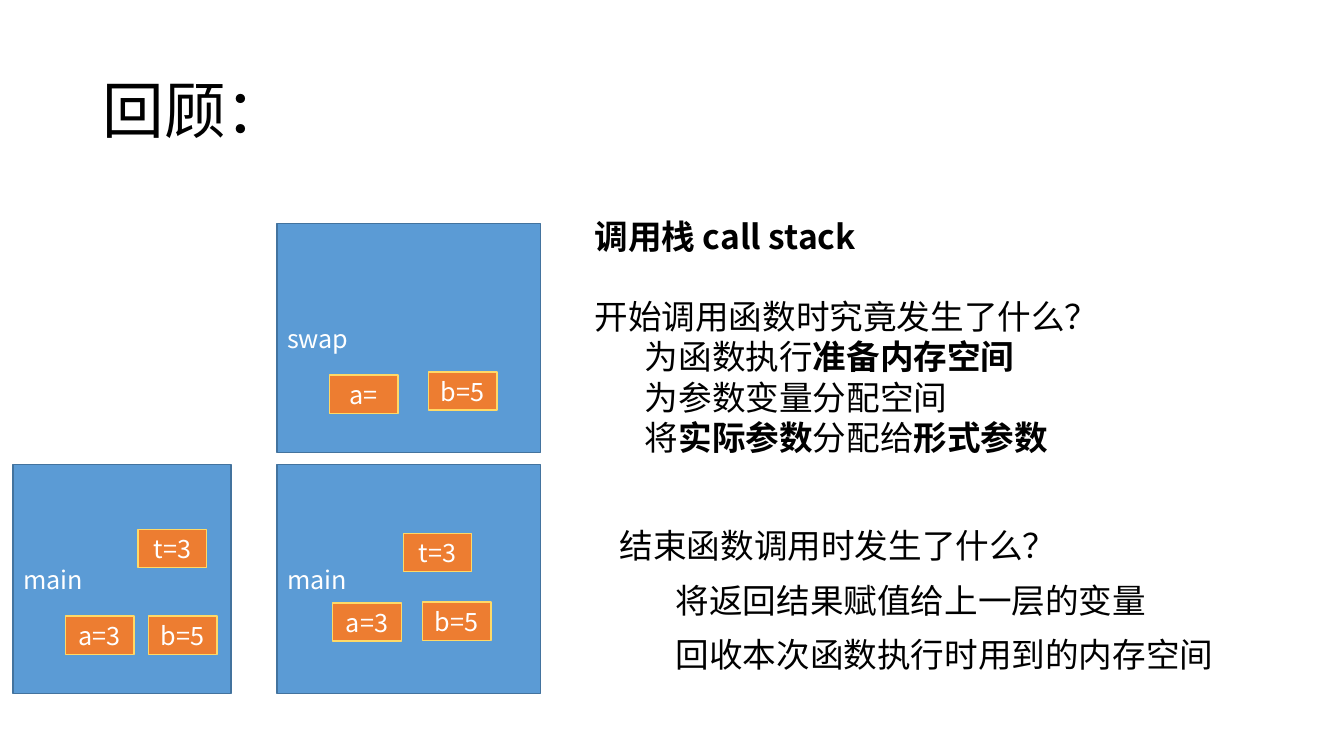
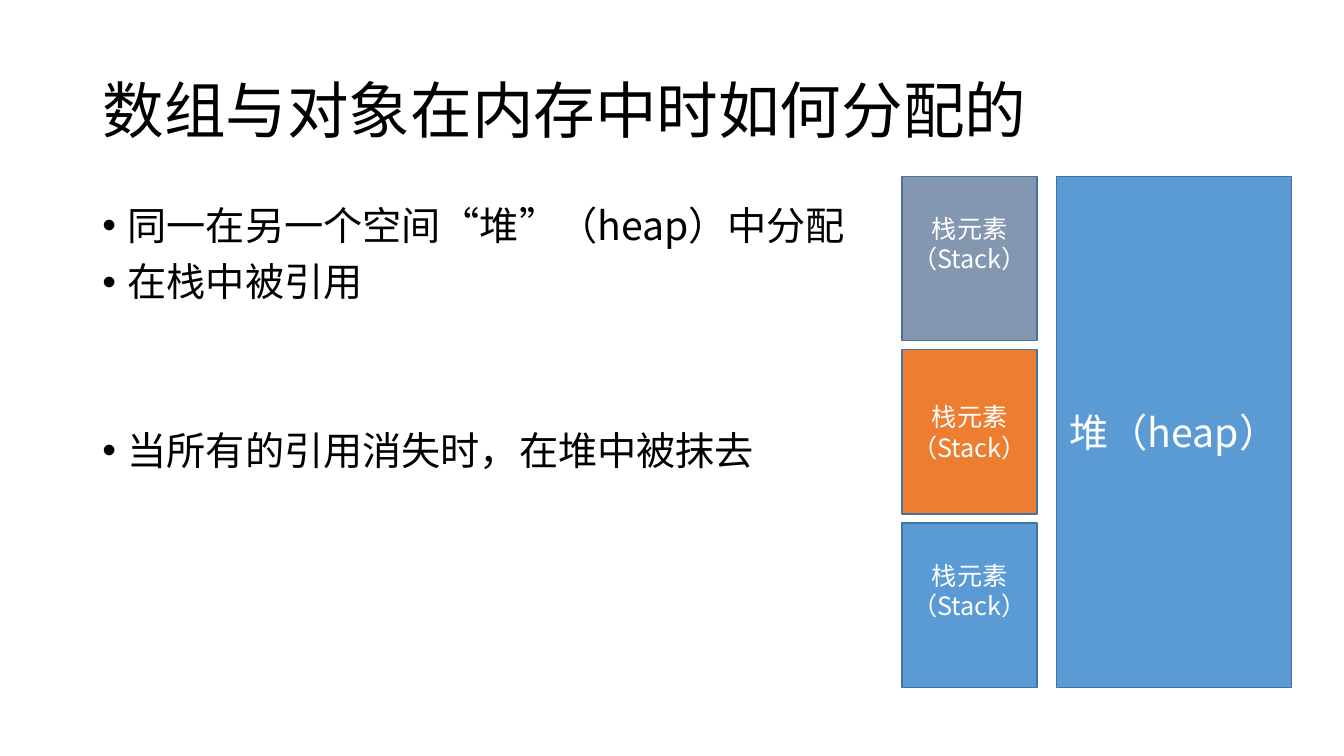
from lxml.etree import SubElement
from pptx import Presentation
from pptx.dml.color import RGBColor
from pptx.enum.shapes import MSO_SHAPE
from pptx.enum.text import MSO_ANCHOR, MSO_AUTO_SIZE, PP_ALIGN
from pptx.oxml.ns import qn
from pptx.util import Pt

FONT = "Noto Sans CJK SC"
BLACK, WHITE = "000000", "FFFFFF"
BLUE, ORANGE, SLATE = "5B9BD5", "ED7D31", "8497B0"
EDGE, GOLD = "43739E", "FFD966"
TITLE_BOX = (66, 28.8, 828, 104.4)
CELL_SIZE = (49, 27.4)


def colour(value):
    return RGBColor.from_string(value)


def place(shape, left, top, width, height):
    shape.left, shape.top = Pt(left), Pt(top)
    shape.width, shape.height = Pt(width), Pt(height)


def style_runs(para, size, value):
    for span in para.runs:
        span.font.size = Pt(size)
        span.font.name = FONT
        span.font.color.rgb = colour(value)
        east_asian = SubElement(span.font._element, qn("a:ea"))
        east_asian.set("typeface", FONT)


def indent(para, margin, first=0):
    properties = para._p.get_or_add_pPr()
    properties.set("marL", str(Pt(margin)))
    properties.set("indent", str(Pt(first)))


def add_titled_page(deck, layout, title):
    page = deck.slides.add_slide(deck.slide_layouts.get_by_name(layout))
    heading = page.shapes.title
    place(heading, *TITLE_BOX)
    frame = heading.text_frame
    frame.text = title
    frame.auto_size = MSO_AUTO_SIZE.NONE
    frame.vertical_anchor = MSO_ANCHOR.MIDDLE
    para = frame.paragraphs[0]
    para.alignment = PP_ALIGN.LEFT
    para.line_spacing = 0.9
    style_runs(para, 44, BLACK)
    return page


def add_block(page, box, text, fill, line=EDGE, size=18, align=PP_ALIGN.CENTER):
    """Add a filled rectangle with vertically centred white text."""
    block = page.shapes.add_shape(MSO_SHAPE.RECTANGLE, *map(Pt, box))
    block.shadow.inherit = False
    block.fill.solid()
    block.fill.fore_color.rgb = colour(fill)
    block.line.color.rgb = colour(line)
    block.line.width = Pt(1)
    frame = block.text_frame
    frame.word_wrap = True
    frame.vertical_anchor = MSO_ANCHOR.MIDDLE
    frame.text = text
    para = frame.paragraphs[0]
    para.alignment = align
    style_runs(para, size, WHITE)
    return block


def add_call_frame(page, box, name, variables):
    """Add a stack frame; variables give their offsets from its corner."""
    add_block(page, box, name, BLUE, align=PP_ALIGN.LEFT)
    for text, across, down in variables:
        cell = (box[0] + across, box[1] + down, *CELL_SIZE)
        add_block(page, cell, text, ORANGE, GOLD)


def add_explanation(page, box, lines):
    """Lines give indent, space before, then plain and bold spans in turn."""
    text_box = page.shapes.add_textbox(*map(Pt, box))
    frame = text_box.text_frame
    frame.word_wrap = True
    for number, (margin, gap, *texts) in enumerate(lines):
        para = frame.add_paragraph() if number else frame.paragraphs[0]
        indent(para, margin)
        para.space_before = Pt(gap)
        for position, text in enumerate(texts):
            if text:
                span = para.add_run()
                span.text = text
                span.font.bold = position % 2 == 1
        style_runs(para, 24, BLACK)


def fill_bullets(body, box, items):
    """Items give the text and the space before it."""
    place(body, *box)
    frame = body.text_frame
    frame.auto_size = MSO_AUTO_SIZE.NONE
    frame.text = "\n".join(text for text, _ in items)
    for para, (_, gap) in zip(frame.paragraphs, items):
        indent(para, 18, -18)
        para.line_spacing = 0.9
        para.space_before = Pt(gap)
        style_runs(para, 28, BLACK)


def add_memory(page, left, top, height):
    """Add a column of stack elements and the heap beside it."""
    stack_width, heap_width, column_gap, row_gap = 96.5, 167.8, 13.7, 6.4
    # Fill and bottom inset of each element
    elements = [(SLATE, 25), (ORANGE, 3.6), (BLUE, 25)]
    row_height = (height - row_gap * (len(elements) - 1)) / len(elements)
    for row, (fill, inset) in enumerate(elements):
        box = (left, top + row * (row_height + row_gap), stack_width, row_height)
        block = add_block(page, box, "栈元素（Stack）", fill)
        block.text_frame.margin_bottom = Pt(inset)
    heap_left = left + stack_width + column_gap
    add_block(page, (heap_left, top, heap_width, height), "堆（heap）", BLUE, size=28)


def build_review(deck):
    page = add_titled_page(deck, "Title Only", "回顾：")
    add_call_frame(page, (9.4, 332, 155.5, 163.4), "main",
                   [("a=3", 37.4, 108), ("b=5", 96.5, 108), ("t=3", 89.3, 46)])
    add_call_frame(page, (198, 332, 188, 163.4), "main",
                   [("a=3", 39.6, 98.6), ("b=5", 103.7, 97.9), ("t=3", 90, 49)])
    add_call_frame(page, (198, 159.8, 188, 163.4), "swap",
                   [("a=", 37.4, 108), ("b=5", 108, 105.8)])
    add_explanation(page, (417.6, 150.5, 476, 338.4), [
        (0, 0, "", "调用栈 call stack"),
        (0, 28.6, "开始调用函数时究竟发生了什么？"),
        (36, 0, "为函数执行", "准备内存空间"),
        (36, 0, "为参数变量分配空间"),
        (36, 0, "将", "实际参数", "分配给", "形式参数"),
        (18, 48.6, "结束函数调用时发生了什么？"),
        (58, 10, "将返回结果赋值给上一层的变量"),
        (58, 10, "回收本次函数执行时用到的内存空间"),
    ])


def build_allocation(deck):
    page = add_titled_page(deck, "Title and Content", "数组与对象在内存中时如何分配的")
    fill_bullets(page.placeholders[1], (66, 144, 828, 342.7), [
        ("同一在另一个空间“堆”（heap）中分配", 10),
        ("在栈中被引用", 10),
        ("当所有的引用消失时，在堆中被抹去", 90),
    ])
    add_memory(page, 644.4, 126, 365)


def main():
    deck = Presentation()
    deck.slide_width, deck.slide_height = Pt(960), Pt(540)
    build_review(deck)
    build_allocation(deck)
    deck.save("out.pptx")


if __name__ == "__main__":
    main()
